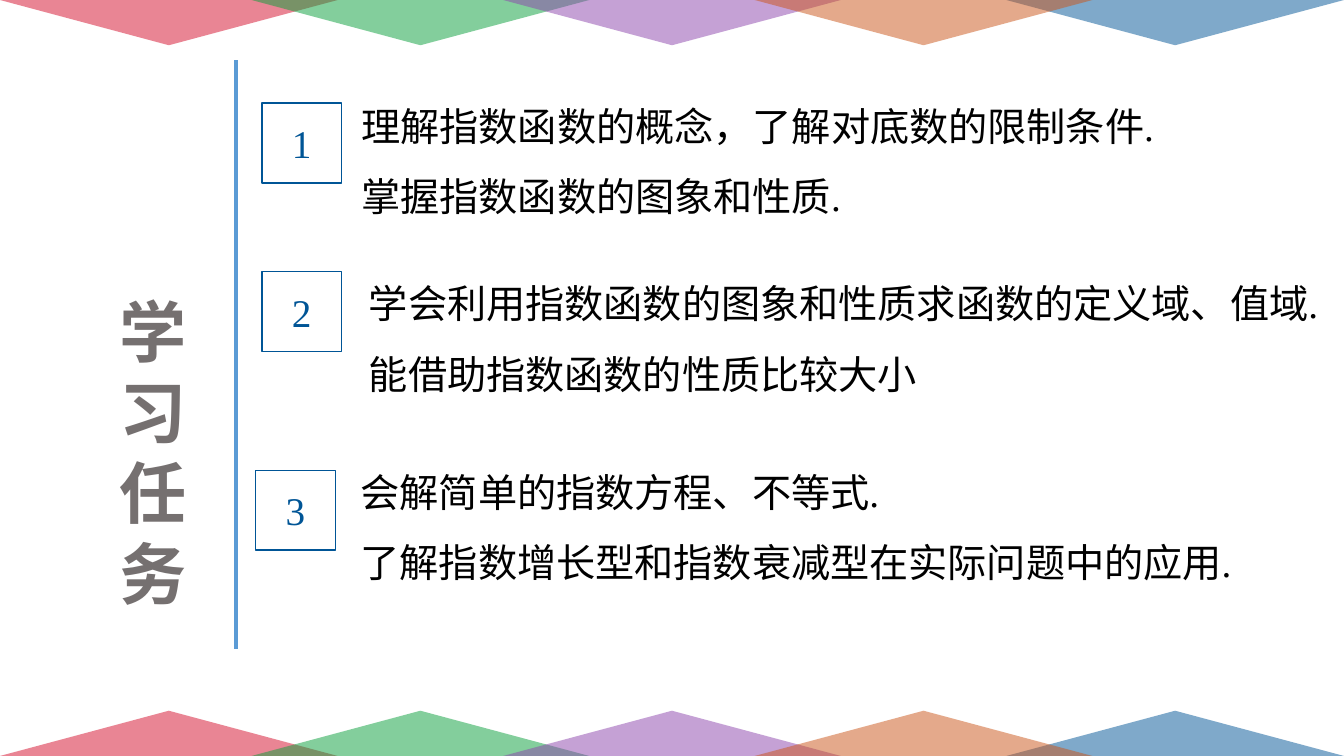
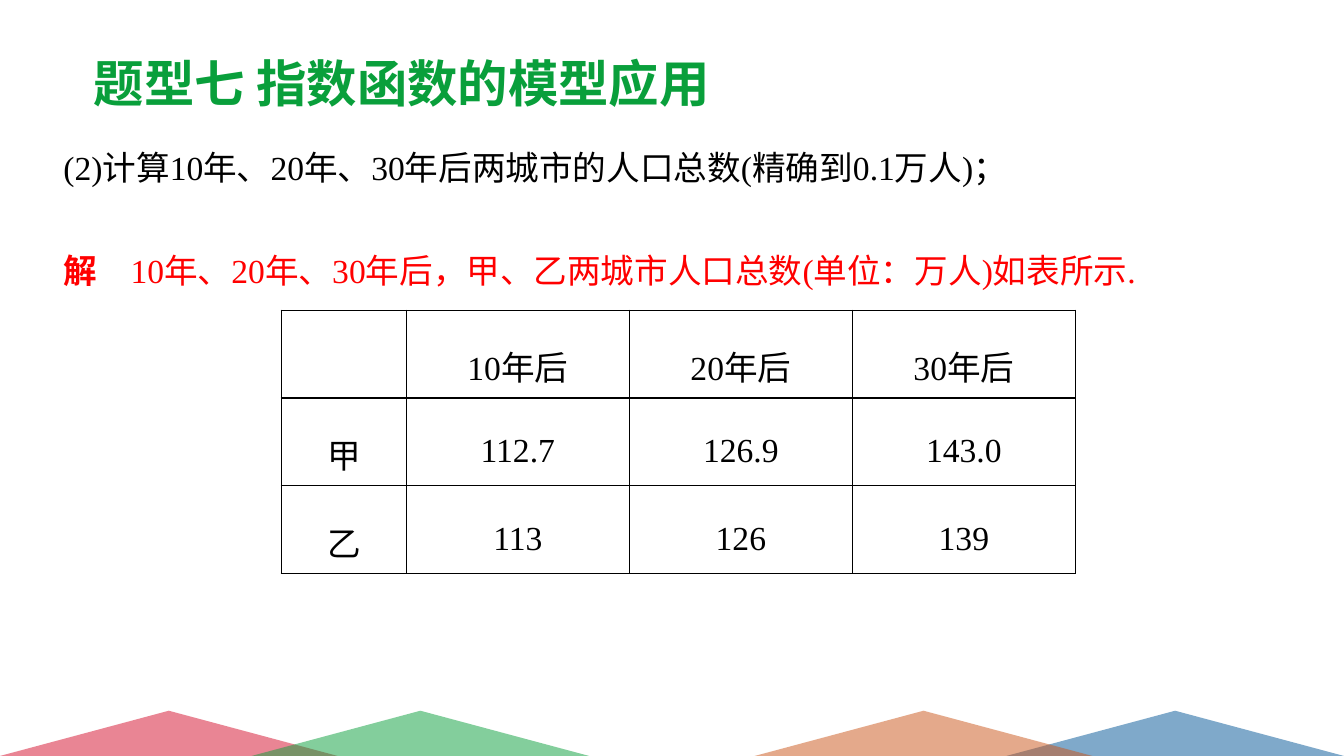
"""Build two lesson slides on exponential functions."""
from lxml.etree import SubElement
from pptx import Presentation
from pptx.dml.color import RGBColor
from pptx.enum.shapes import MSO_CONNECTOR as Connector, MSO_SHAPE as Preset
from pptx.enum.text import MSO_ANCHOR as Anchor, PP_ALIGN as Align
from pptx.oxml import parse_xml
from pptx.oxml.ns import nsdecls, qn
from pptx.util import Cm, Pt

WIDTH, HEIGHT = 33.87, 19.05
CJK_FONT = "Noto Sans CJK SC"
BLACK, RED, GREEN, BLUE, GREY = "000000", "FF0000", "099F3B", "005596", "757070"
RULE_BLUE = "5B9BD5"

PEAK_WIDTH, PEAK_HEIGHT = 8.51, 1.14
PEAKS = {0: "D50D2A", 4: BLUE, 1: GREEN, 2: "8D44AD", 3: "CB5518"}
PEAK_STEP = (WIDTH - PEAK_WIDTH) / (len(PEAKS) - 1)

SIDE_TITLE = dict(size=Pt(48), name=CJK_FONT, bold=True, color=GREY)
TOPIC_TITLE = dict(size=Pt(36), name="Roboto", bold=True, color=GREEN)
TASK = dict(size=Pt(28), name="Times New Roman", color=BLACK)
NUMBER = dict(TASK, color=BLUE)
BODY = dict(TASK, size=Pt(24))
ANSWER = dict(BODY, color=RED)
JUSTIFIED = dict(alignment=Align.JUSTIFY, line_spacing=1.5)
CENTERED = dict(alignment=Align.CENTER, line_spacing=1.5)
TASK_INSETS = (0.33, 0.18, 0, 0.18)
BODY_INSETS = (0.33, 0.18, 0.33, 0.18)

TASKS = [
    ((6.6, 2.6), (8.86, 1.85),
     ["理解指数函数的概念，了解对底数的限制条件.", "掌握指数函数的图象和性质."]),
    ((6.6, 6.85), (8.97, 6.27),
     ["学会利用指数函数的图象和性质求函数的定义域、值域.", "能借助指数函数的性质比较大小"]),
    ((6.44, 11.85), (8.76, 11.02),
     ["会解简单的指数方程、不等式.", "了解指数增长型和指数衰减型在实际问题中的应用."]),
]
QUESTION = "(2)计算10年、20年、30年后两城市的人口总数(精确到0.1万人)；"
SOLUTION = [
    ("解　", dict(ANSWER, bold=True)),
    ("10年、20年、30年后，甲、乙两城市人口总数(单位：万人)如表所示.", ANSWER),
]
POPULATION = [
    ["", "10年后", "20年后", "30年后"],
    ["甲", "112.7", "126.9", "143.0"],
    ["乙", "113", "126", "139"],
]
COLUMN_WIDTHS = [3.15, 5.62, 5.62, 5.62]
ROW_HEIGHT = 2.21


def rgb(color):
    return RGBColor.from_string(color)


def lengths(*values):
    return [Cm(value) for value in values]


def set_values(target, values):
    for name, value in values.items():
        setattr(target, name, value)


def set_insets(target, insets):
    sides = ("margin_left", "margin_top", "margin_right", "margin_bottom")
    set_values(target, dict(zip(sides, lengths(*insets))))


def write(text_frame, paragraphs, layout=None):
    """Write paragraphs, each a list of (text, format) runs."""
    for index, runs in enumerate(paragraphs):
        paragraph = text_frame.add_paragraph() if index else text_frame.paragraphs[0]
        set_values(paragraph, layout or {})
        for text, style in runs:
            run = paragraph.add_run()
            run.text = text
            set_values(run.font, {key: style[key] for key in style if key != "color"})
            run.font.color.rgb = rgb(style["color"])
            SubElement(run.font._element, qn("a:ea"), typeface=CJK_FONT)


def add_text(slide, box, paragraphs, layout=None, insets=(0.25, 0.13, 0.25, 0.13)):
    text_frame = slide.shapes.add_textbox(*lengths(*box)).text_frame
    text_frame.word_wrap = True
    set_insets(text_frame, insets)
    write(text_frame, paragraphs, layout)


def add_band(slide, top, rotation=0, skip=()):
    """Draw the row of half-transparent peaks along a slide edge."""
    for column, color in PEAKS.items():
        if column in skip:
            continue
        box = lengths(column * PEAK_STEP, top, PEAK_WIDTH, PEAK_HEIGHT)
        shape = slide.shapes.add_shape(Preset.ISOSCELES_TRIANGLE, *box)
        shape.shadow.inherit = False
        shape.rotation = rotation
        shape.fill.solid()
        shape.fill.fore_color.rgb = rgb(color)
        shape.line.fill.background()
        for color_element in shape.fill._xPr.iter(qn("a:srgbClr")):
            SubElement(color_element, qn("a:alpha"), val="50000")


def add_rule(slide, x, top, bottom):
    rule = slide.shapes.add_connector(Connector.STRAIGHT, *lengths(x, top, x, bottom))
    rule.line.color.rgb = rgb(RULE_BLUE)
    rule.line.width = Pt(3)
    SubElement(rule._element.spPr, qn("a:effectLst"))


def add_number(slide, position, number):
    shape = slide.shapes.add_shape(Preset.RECTANGLE, *lengths(*position, 2.01, 2.01))
    shape.shadow.inherit = False
    shape.fill.background()
    shape.line.color.rgb = rgb(BLUE)
    shape.line.width = Pt(1)
    shape.text_frame.vertical_anchor = Anchor.MIDDLE
    write(shape.text_frame, [[(str(number), NUMBER)]], dict(alignment=Align.CENTER))


def add_borders(cell):
    properties = cell._tc.get_or_add_tcPr()
    for side in ("lnL", "lnR", "lnT", "lnB"):
        properties.append(parse_xml(
            f'<a:{side} {nsdecls("a")} w="12700"><a:solidFill>'
            f'<a:srgbClr val="{BLACK}"/></a:solidFill></a:{side}>'))


def add_population_table(slide, left, top):
    size = (sum(COLUMN_WIDTHS), ROW_HEIGHT * len(POPULATION))
    table = slide.shapes.add_table(
        len(POPULATION), len(COLUMN_WIDTHS), *lengths(left, top, *size)).table
    set_values(table, dict(first_row=False, horz_banding=False))
    for column, width in zip(table.columns, COLUMN_WIDTHS):
        column.width = Cm(width)
    for row, values in zip(table.rows, POPULATION):
        row.height = Cm(ROW_HEIGHT)
        for cell, value in zip(row.cells, values):
            add_borders(cell)
            cell.fill.background()
            cell.vertical_anchor = Anchor.MIDDLE
            set_insets(cell, (0.18, 0, 0.18, 0))
            if value:
                write(cell.text_frame, [[(value, BODY)]], CENTERED)


def add_tasks_slide(slide):
    add_band(slide, HEIGHT - PEAK_HEIGHT)
    add_band(slide, 0, rotation=180)
    add_text(slide, (2.77, 7.19, 3.5, 8.46), [[("学习任务", SIDE_TITLE)]])
    add_rule(slide, 5.94, 1.52, 16.36)
    for number, (number_position, (left, top), lines) in enumerate(TASKS, 1):
        add_number(slide, number_position, number)
        box = (left, top, WIDTH - left, 3.94)
        insets = TASK_INSETS if number > 1 else (0.25, 0.13, 0, 0.13)
        add_text(slide, box, [[(line, TASK)] for line in lines], JUSTIFIED, insets)


def add_model_slide(slide):
    add_band(slide, HEIGHT - PEAK_HEIGHT, skip=(2,))
    add_text(slide, (2.11, 1.19, 29.51, 1.8), [[("题型七 指数函数的模型应用", TOPIC_TITLE)]])
    for top, runs in ((3.02, [(QUESTION, BODY)]), (5.61, SOLUTION)):
        add_text(slide, (1.27, top, 31.65, 1.68), [runs], JUSTIFIED, BODY_INSETS)
    add_population_table(slide, 7.09, 7.82)


def main():
    presentation = Presentation()
    set_values(presentation, dict(slide_width=Cm(WIDTH), slide_height=Cm(HEIGHT)))
    for build in (add_tasks_slide, add_model_slide):
        build(presentation.slides.add_slide(presentation.slide_layouts[6]))
    presentation.save("out.pptx")


if __name__ == "__main__":
    main()
